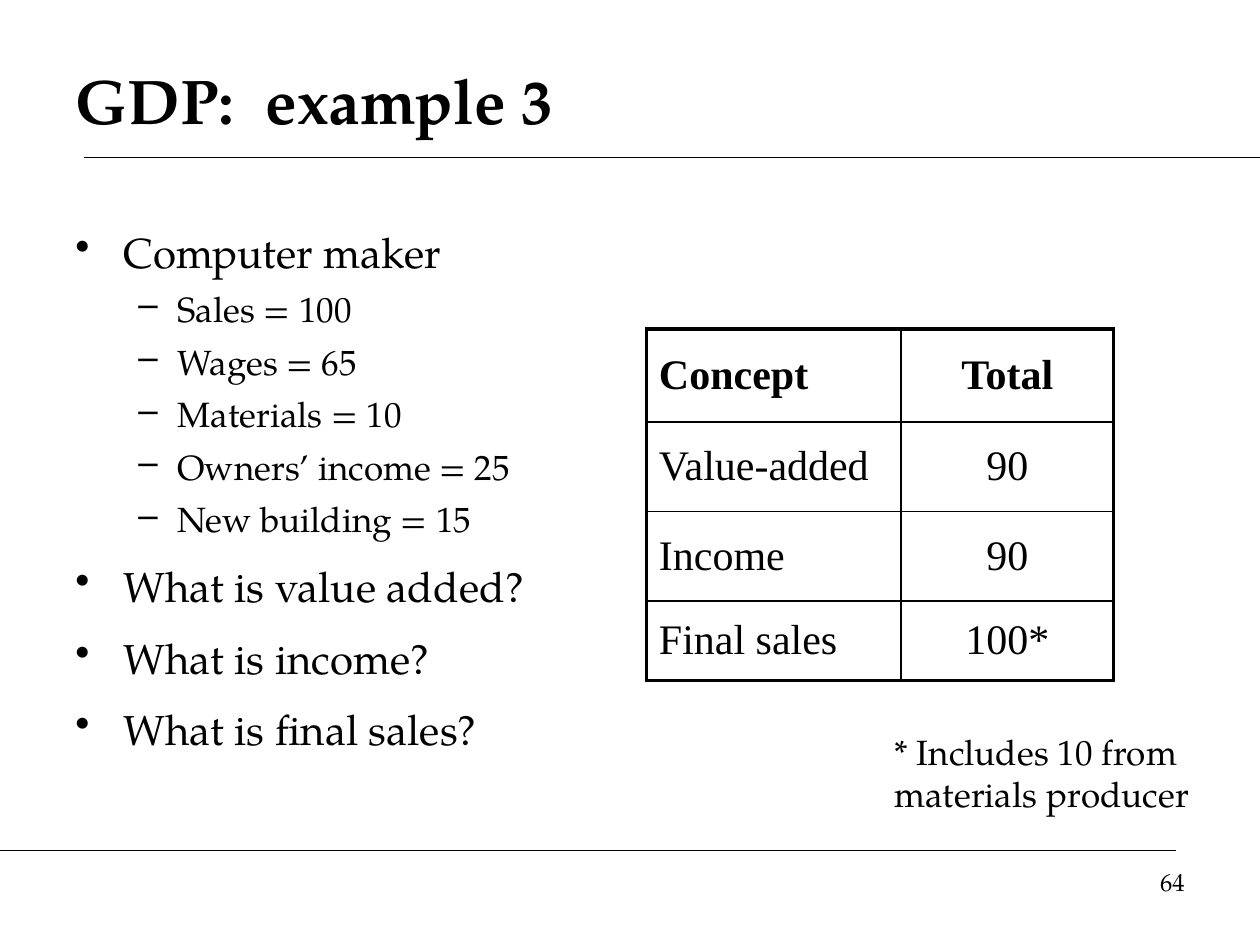
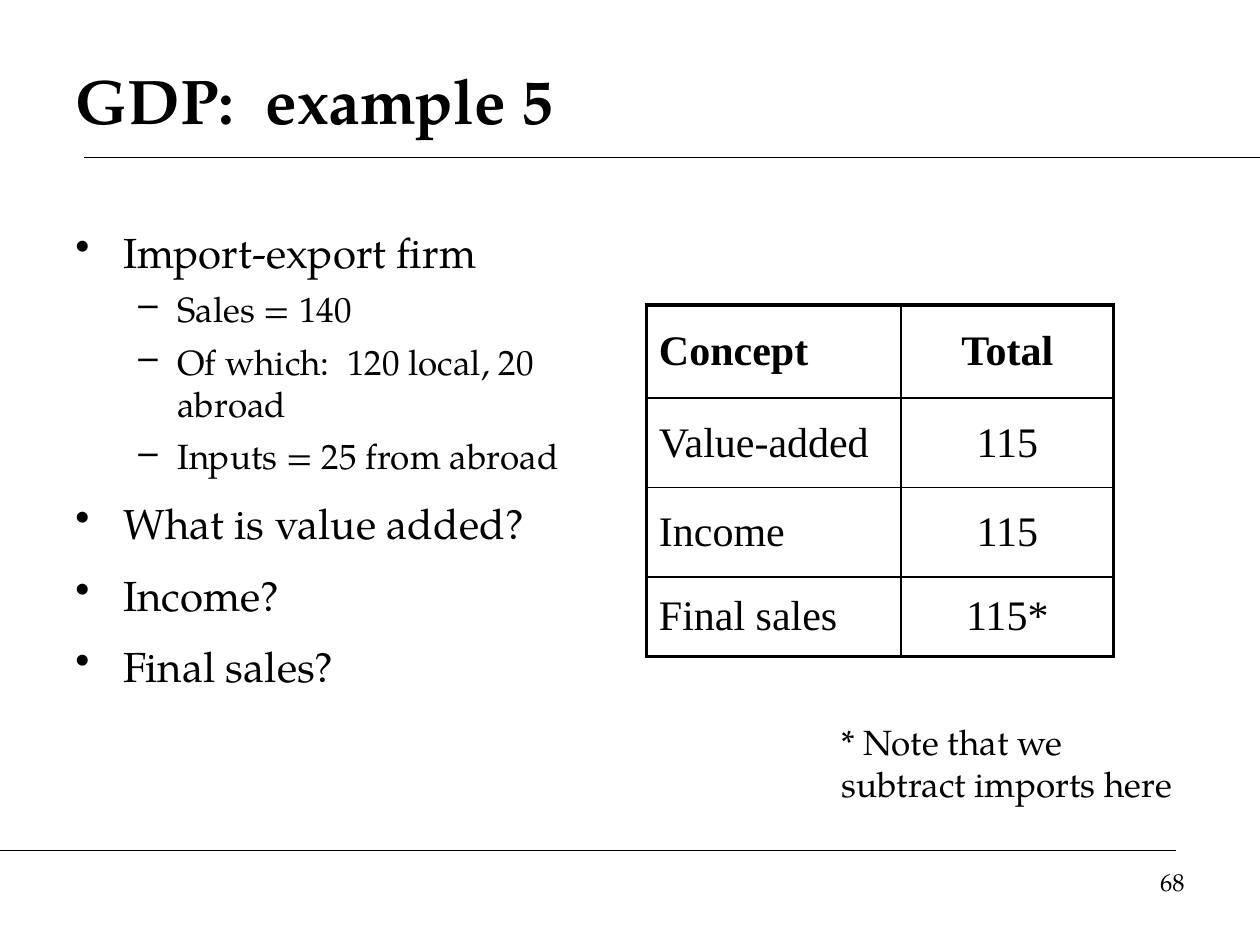
"""Build two GDP example slides with bullets, a result table and a footnote."""
from dataclasses import dataclass

from lxml import etree
from pptx import Presentation, util as u
from pptx.dml.color import RGBColor
from pptx.enum import shapes, text
from pptx.oxml import ns

COLOURS = {"ink": "000000", "paper": "FFFFFF"}
SERIF = "TeX Gyre Pagella"
TABLE_FONT = "Times New Roman"

TITLE = {"name": SERIF, "size": u.Pt(36), "bold": True}
NOTE = {"name": SERIF, "size": u.Pt(20)}
NUMBER = {"name": SERIF, "size": u.Pt(14)}
HEADER_CELL = {"name": TABLE_FONT, "size": u.Pt(24), "bold": True}
BODY_CELL = {**HEADER_CELL, "bold": False}

RULES = [(0.67, 1.25, 10, 1.25), (0, 6.75, 9.33, 6.75)]
COLUMN_WIDTHS = [2.02, 1.69]
ROW_HEIGHTS = [0.74, 0.71, 0.71, 0.63]
CONCEPTS = ["Concept", "Value-added", "Income", "Final sales"]
OUTER_BORDER, INNER_BORDER = 2.25, 1


@dataclass(frozen=True)
class BulletStyle:
    mark: str
    margin: float
    hanging: float
    space_before: float
    format: dict


BULLETS = [
    BulletStyle("•", 0.38, 0.38, 12, {"name": SERIF, "size": u.Pt(24)}),
    BulletStyle("–", 0.81, 0.31, 6, {"name": SERIF, "size": u.Pt(20)}),
]


@dataclass(frozen=True)
class Box:
    left: float
    top: float
    width: float
    height: float

    def lengths(self) -> list:
        return [u.Inches(value) for value in (self.left, self.top, self.width, self.height)]


TITLE_BOX = Box(0.5, 0.33, 9, 0.92)
NUMBER_BOX = Box(7.17, 6.83, 2.33, 0.52)


@dataclass(frozen=True)
class Example:
    title: str
    number: str
    bullets: list
    bullet_box: Box
    totals: list
    table_top: float
    note: str
    note_box: Box


EXAMPLES = [
    Example(
        "GDP:  example 3", "64",
        [(0, "Computer maker"), (1, "Sales = 100"), (1, "Wages = 65"),
         (1, "Materials = 10"), (1, "Owners’ income = 25"), (1, "New building = 15"),
         (0, "What is value added?"), (0, "What is income?"), (0, "What is final sales?")],
        Box(0.5, 1.75, 4.25, 4.95),
        ["Total", "90", "90", "100*"], 2.61,
        "* Includes 10 from materials producer", Box(7, 5.75, 2.75, 0.77),
    ),
    Example(
        "GDP:  example 5", "68",
        [(0, "Import-export firm"), (1, "Sales = 140"),
         (1, "Of which:  120 local, 20 abroad"), (1, "Inputs = 25 from abroad"),
         (0, "What is value added?"), (0, "Income?"), (0, "Final sales?")],
        Box(0.5, 1.75, 4.08, 4.95),
        ["Total", "115", "115", "115*"], 2.42,
        "* Note that we subtract imports here", Box(6.58, 5.67, 2.83, 0.77),
    ),
]


def colour(name: str) -> RGBColor:
    return RGBColor.from_string(COLOURS[name])


def add_run(paragraph, words: str, format_values: dict) -> None:
    run = paragraph.add_run()
    run.text = words
    for attribute, value in format_values.items():
        setattr(run.font, attribute, value)
    run.font.color.rgb = colour("ink")


def add_frame(slide, box: Box, anchor=text.MSO_ANCHOR.TOP):
    frame = slide.shapes.add_textbox(*box.lengths()).text_frame
    frame.word_wrap = True
    frame.vertical_anchor = anchor
    return frame


def add_label(slide, box: Box, words: str, format_values: dict,
              anchor=text.MSO_ANCHOR.TOP, alignment=text.PP_ALIGN.LEFT) -> None:
    paragraph = add_frame(slide, box, anchor).paragraphs[0]
    paragraph.alignment = alignment
    add_run(paragraph, words, format_values)


def add_rule(slide, ends: tuple) -> None:
    line = slide.shapes.add_connector(
        shapes.MSO_CONNECTOR.STRAIGHT, *[u.Inches(value) for value in ends])
    line.line.color.rgb = colour("ink")
    line.line.width = u.Pt(0.75)
    etree.SubElement(line._element.spPr, ns.qn("a:effectLst"))


def add_bullets(slide, box: Box, bullets: list) -> None:
    frame = add_frame(slide, box)
    for index, (level, words) in enumerate(bullets):
        style = BULLETS[level]
        paragraph = frame.add_paragraph() if index else frame.paragraphs[0]
        properties = paragraph._p.get_or_add_pPr()
        properties.set("marL", str(u.Inches(style.margin)))
        properties.set("indent", str(-u.Inches(style.hanging)))
        etree.SubElement(properties, ns.qn("a:buChar"), char=style.mark)
        paragraph.level = level
        paragraph.space_before = u.Pt(style.space_before if index else 0)
        add_run(paragraph, words, style.format)


def set_borders(cell, widths: dict) -> None:
    properties = cell._tc.get_or_add_tcPr()
    for side, width in widths.items():
        border = etree.SubElement(properties, ns.qn(f"a:ln{side}"), w=str(u.Pt(width)))
        fill = etree.SubElement(border, ns.qn("a:solidFill"))
        etree.SubElement(fill, ns.qn("a:srgbClr"), val=COLOURS["ink"])


def add_results(slide, top: float, totals: list) -> None:
    rows, columns = len(ROW_HEIGHTS), len(COLUMN_WIDTHS)
    box = Box(5.13, top, sum(COLUMN_WIDTHS), sum(ROW_HEIGHTS))
    table = slide.shapes.add_table(rows, columns, *box.lengths()).table
    table.first_row = table.horz_banding = False
    for column, width in zip(table.columns, COLUMN_WIDTHS):
        column.width = u.Inches(width)
    for row, height in zip(table.rows, ROW_HEIGHTS):
        row.height = u.Inches(height)
    alignments = [text.PP_ALIGN.LEFT, text.PP_ALIGN.CENTER]
    for row, entries in enumerate(zip(CONCEPTS, totals)):
        for column, words in enumerate(entries):
            cell = table.cell(row, column)
            outer = {"L": column == 0, "R": column == columns - 1,
                     "T": row == 0, "B": row == rows - 1}
            set_borders(cell, {side: OUTER_BORDER if edge else INNER_BORDER
                               for side, edge in outer.items()})
            cell.fill.background()
            cell.vertical_anchor = text.MSO_ANCHOR.MIDDLE
            paragraph = cell.text_frame.paragraphs[0]
            paragraph.alignment = alignments[column]
            add_run(paragraph, words, BODY_CELL if row else HEADER_CELL)


def add_example(presentation, example: Example) -> None:
    slide = presentation.slides.add_slide(presentation.slide_layouts[6])
    slide.background.fill.solid()
    slide.background.fill.fore_color.rgb = colour("paper")
    for ends in RULES:
        add_rule(slide, ends)
    add_label(slide, TITLE_BOX, example.title, TITLE, anchor=text.MSO_ANCHOR.MIDDLE)
    add_bullets(slide, example.bullet_box, example.bullets)
    add_label(slide, NUMBER_BOX, example.number, NUMBER, alignment=text.PP_ALIGN.RIGHT)
    add_results(slide, example.table_top, example.totals)
    add_label(slide, example.note_box, example.note, NOTE)


def main() -> None:
    presentation = Presentation()
    presentation.slide_width = u.Inches(10)
    presentation.slide_height = u.Inches(7.5)
    for example in EXAMPLES:
        add_example(presentation, example)
    presentation.save("out.pptx")


if __name__ == "__main__":
    main()
